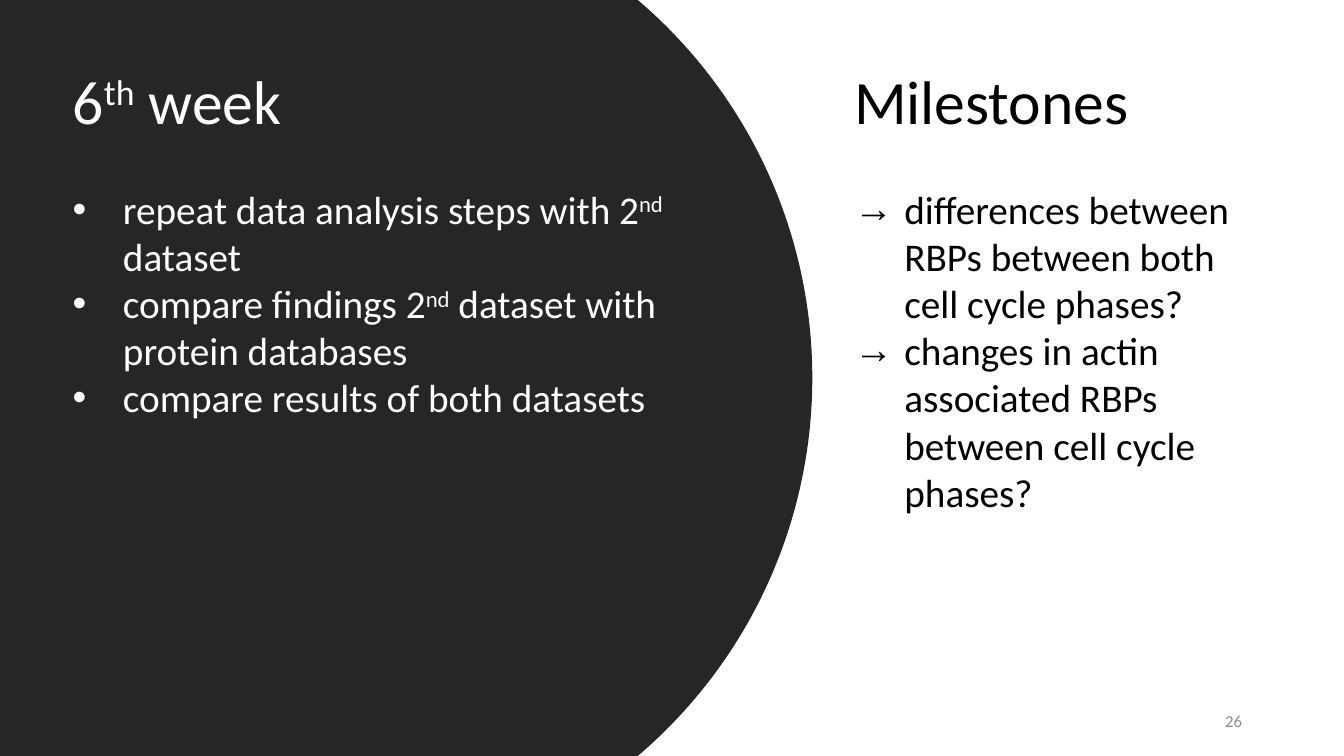
from dataclasses import dataclass
from lxml.etree import SubElement
from pptx import Presentation
from pptx.dml.color import RGBColor
from pptx.enum.shapes import MSO_SHAPE
from pptx.enum.text import MSO_ANCHOR, MSO_AUTO_SIZE, PP_ALIGN
from pptx.oxml.ns import qn
from pptx.util import Inches, Pt


@dataclass(frozen=True)
class Theme:
    font: str = "Calibri"
    dark: str = "262626"
    light: str = "FFFFFF"
    ink: str = "000000"
    gray: str = "8C8C8C"
    head: int = 44
    body: int = 28
    note: int = 12


THEME = Theme()
WIDE, HIGH = Inches(13.33), Inches(7.5)
LEFT, RIGHT = (4.65, 46.66), (62.79, 32.71)
HEAD, LIST = (7.6, 11.33), (23.87, 45.2)


def frame(cols, rows):
    x, w = (int(WIDE * part / 100) for part in cols)
    y, h = (int(HIGH * part / 100) for part in rows)
    return x, y, w, h


def place(shape, cols, rows):
    shape.left, shape.top, shape.width, shape.height = frame(cols, rows)


def mark(para, char):
    props = para._p.get_or_add_pPr()
    props.set("marL", str(Inches(0.5)))
    props.set("indent", str(-Inches(0.5)))
    SubElement(props, qn("a:buChar")).set("char", char)


def write(shape, *lines, size, color, align=PP_ALIGN.LEFT,
          anchor=MSO_ANCHOR.TOP, bullet=None):
    box = shape.text_frame
    box.word_wrap = True
    box.auto_size = MSO_AUTO_SIZE.NONE
    box.vertical_anchor = anchor
    for row, line in enumerate(lines):
        para = box.add_paragraph() if row else box.paragraphs[0]
        para.alignment = align
        para.line_spacing = 1.0
        para.space_before = para.space_after = Pt(0)
        if bullet:
            mark(para, bullet)
        for turn, part in enumerate(line.split("^")):
            run = para.add_run()
            run.text = part
            run.font.name = THEME.font
            run.font.size = Pt(size)
            run.font.bold = False
            run.font.color.rgb = RGBColor.from_string(color)
            if turn % 2:
                run._r.get_or_add_rPr().set("baseline", "30000")


def disc(slide):
    shape = slide.shapes.add_shape(
        MSO_SHAPE.OVAL, *frame((-13.43, 73.82), (-15.6, 131.2)))
    shape.shadow.inherit = False
    shape.fill.solid()
    shape.fill.fore_color.rgb = RGBColor.from_string(THEME.dark)
    shape.line.color.rgb = RGBColor.from_string(THEME.dark)
    shape.line.width = Pt(1)
    slide.shapes._spTree.insert(2, shape._element)


def panel(head, body, cols, title, items, color, bullet):
    place(head, cols, HEAD)
    write(head, title, size=THEME.head, color=color)
    place(body, cols, LIST)
    write(body, *items, size=THEME.body, color=color, bullet=bullet)


def number(slide, text):
    box = slide.shapes.add_textbox(*frame((70.67, 22.5), (92.67, 5.33)))
    write(box, text, size=THEME.note, color=THEME.gray,
          align=PP_ALIGN.RIGHT, anchor=MSO_ANCHOR.MIDDLE)


def main():
    deck = Presentation()
    deck.slide_width, deck.slide_height = WIDE, HIGH
    slide = deck.slides.add_slide(deck.slide_layouts.get_by_name("Comparison"))
    title, spare, tasks, goal, aims = slide.placeholders
    spare._element.getparent().remove(spare._element)
    disc(slide)
    panel(title, tasks, LEFT, "6^th^ week", [
        "repeat data analysis steps with 2^nd^ dataset",
        "compare findings 2^nd^ dataset with protein databases",
        "compare results of both datasets",
    ], THEME.light, "•")
    panel(goal, aims, RIGHT, "Milestones", [
        "differences between RBPs between both cell cycle phases?",
        "changes in actin associated RBPs between cell cycle phases?",
    ], THEME.ink, "→")
    number(slide, "26")
    deck.save("out.pptx")


if __name__ == "__main__":
    main()
